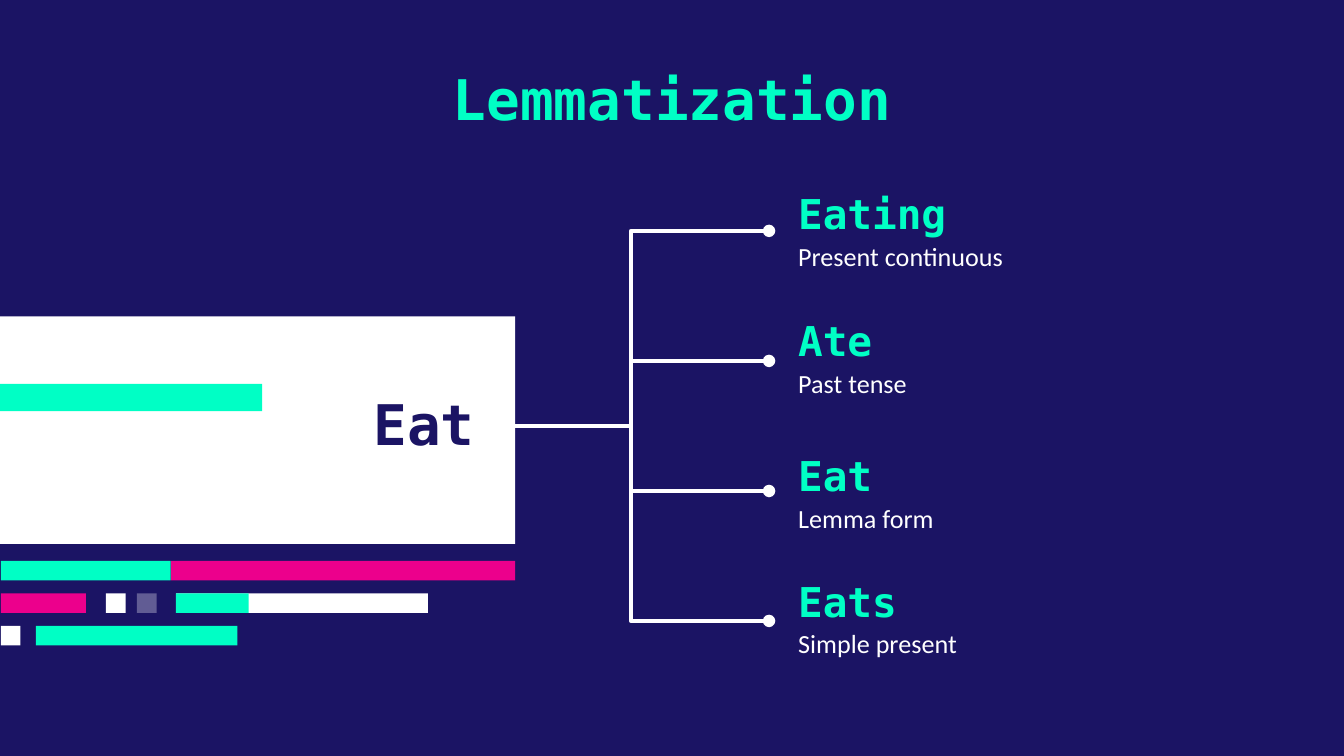
from dataclasses import dataclass

from pptx import Presentation
from pptx.dml.color import RGBColor
from pptx.enum.shapes import MSO_CONNECTOR as Connector, MSO_SHAPE as Shape
from pptx.enum.text import MSO_ANCHOR as Anchor, PP_ALIGN as Align
from pptx.oxml.ns import qn
from pptx.oxml.xmlchemy import OxmlElement
from pptx.slide import Slide
from pptx.util import Pt

NAVY, MINT, PINK, WHITE = "1B1464", "00FFC5", "EC008C", "FFFFFF"
MONO, SANS = "DejaVu Sans Mono", "Calibri"
ROOT_X, ROOT_Y = 264, 228.2
BRANCH_END, BRANCH_STEP = 412, 69.65
LABEL_LEFT, LABEL_WIDTH, LABEL_HEIGHT, NOTE_OFFSET = 420.5, 212.4, 21.6, 22.5
CODE_TOP, CODE_STEP, CODE_HEIGHT = 300.5, 17.4, 10.5


@dataclass(frozen=True)
class Style:
    font: str
    size: float
    color: str
    bold: bool = True
    align: Align = Align.LEFT
    anchor: Anchor = Anchor.MIDDLE
    inset: float = 0
    spacing: float = 1.0


@dataclass(frozen=True)
class WordForm:
    word: str
    tense: str
    top: float


@dataclass(frozen=True)
class CodeBar:
    row: int
    left: float
    right: float
    color: str
    opacity: int = 100


TITLE = Style(MONO, 30, MINT, align=Align.CENTER, anchor=Anchor.TOP, inset=7.2)
LEMMA = Style(MONO, 30, NAVY, align=Align.RIGHT)
WORD = Style(MONO, 22, MINT)
NOTE = Style(SANS, 14, WHITE, bold=False, anchor=Anchor.TOP, spacing=1.15)

WORD_FORMS = [
    WordForm("Eating", "Present continuous", 103.6),
    WordForm("Ate", "Past tense", 171.6),
    WordForm("Eat", "Lemma form", 243.9),
    WordForm("Eats", "Simple present", 311),
]

CODE_BARS = [
    CodeBar(0, 91.5, 276, PINK),
    CodeBar(0, 0.5, 91.5, MINT),
    CodeBar(1, 94.3, 229.2, WHITE),
    CodeBar(1, 94.3, 133.3, MINT),
    CodeBar(1, 0.5, 46, PINK),
    CodeBar(1, 73.4, 84, WHITE, opacity=31),
    CodeBar(1, 56.8, 67.3, WHITE),
    CodeBar(2, 0.5, 10.9, WHITE),
    CodeBar(2, 19.3, 127.2, MINT),
]


def rgb(color: str) -> RGBColor:
    return RGBColor.from_string(color)


def add_block(slide: Slide, left: float, top: float, width: float,
              height: float, color: str, opacity: int = 100) -> None:
    shape = slide.shapes.add_shape(
        Shape.RECTANGLE, Pt(left), Pt(top), Pt(width), Pt(height))
    shape.shadow.inherit = False
    shape.line.fill.background()
    shape.fill.solid()
    shape.fill.fore_color.rgb = rgb(color)
    if opacity < 100:
        alpha = OxmlElement("a:alpha")
        alpha.set("val", str(opacity * 1000))
        shape.element.spPr.find(".//" + qn("a:srgbClr")).append(alpha)


def add_text(slide: Slide, text: str, left: float, top: float,
             width: float, height: float, style: Style) -> None:
    frame = slide.shapes.add_textbox(
        Pt(left), Pt(top), Pt(width), Pt(height)).text_frame
    frame.word_wrap = True
    frame.vertical_anchor = style.anchor
    frame.margin_left = frame.margin_right = Pt(7.2)
    frame.margin_top = frame.margin_bottom = Pt(style.inset)
    paragraph = frame.paragraphs[0]
    paragraph.text = text
    paragraph.alignment = style.align
    paragraph.line_spacing = style.spacing
    paragraph.font.name = style.font
    paragraph.font.size = Pt(style.size)
    paragraph.font.bold = style.bold
    paragraph.font.color.rgb = rgb(style.color)


def add_branch(slide: Slide, end_y: float) -> None:
    connector = slide.shapes.add_connector(
        Connector.ELBOW, Pt(ROOT_X), Pt(ROOT_Y), Pt(BRANCH_END), Pt(end_y))
    connector.line.color.rgb = rgb(WHITE)
    connector.line.width = Pt(2.25)
    tail = OxmlElement("a:tailEnd")
    tail.set("type", "oval")
    connector.line._get_or_add_ln().append(tail)
    connector._element.spPr.append(OxmlElement("a:effectLst"))


def main() -> None:
    presentation = Presentation()
    presentation.slide_width, presentation.slide_height = Pt(720), Pt(405)
    slide = presentation.slides.add_slide(presentation.slide_layouts[6])
    slide.background.fill.solid()
    slide.background.fill.fore_color.rgb = rgb(NAVY)

    add_block(slide, 0, 169.5, 276, 121.9, WHITE)
    add_text(slide, "Lemmatization", 100.8, 27.4, 518.4, 52.6, TITLE)
    add_block(slide, 0, 205.7, 140.4, 14.6, MINT)
    add_text(slide, "Eat", 69.8, 211, 191.5, 31, LEMMA)

    for bar in CODE_BARS:
        add_block(slide, bar.left, CODE_TOP + bar.row * CODE_STEP,
                  bar.right - bar.left, CODE_HEIGHT, bar.color, bar.opacity)

    middle = (len(WORD_FORMS) - 1) / 2
    for index, form in enumerate(WORD_FORMS):
        add_branch(slide, ROOT_Y + (index - middle) * BRANCH_STEP)
        add_text(slide, form.word, LABEL_LEFT, form.top,
                 LABEL_WIDTH, LABEL_HEIGHT, WORD)
        add_text(slide, form.tense, LABEL_LEFT, form.top + NOTE_OFFSET,
                 LABEL_WIDTH, LABEL_HEIGHT, NOTE)

    presentation.save("out.pptx")


if __name__ == "__main__":
    main()
